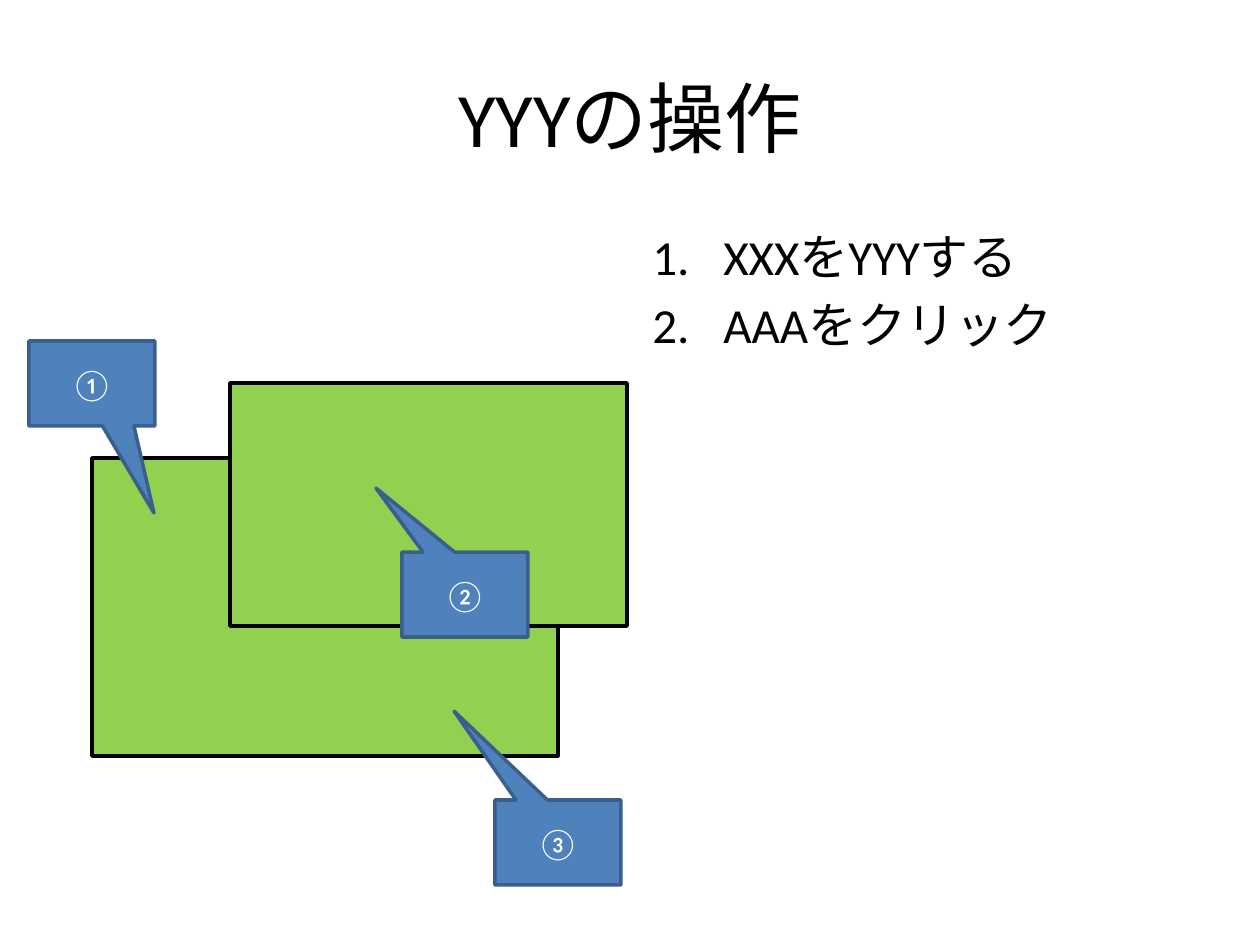
from lxml.etree import SubElement
from pptx import Presentation
from pptx.dml.color import RGBColor
from pptx.enum.shapes import MSO_SHAPE as SHAPE
from pptx.enum.text import MSO_ANCHOR as ANCHOR, PP_ALIGN as ALIGN
from pptx.oxml.ns import qn
from pptx.util import Emu, Pt

BLACK = RGBColor(0x00, 0x00, 0x00)
WHITE = RGBColor(0xFF, 0xFF, 0xFF)
GREEN = RGBColor(0x92, 0xD0, 0x50)
BLUE = RGBColor(0x4F, 0x81, 0xBD)
DARK_BLUE = RGBColor(0x3A, 0x5F, 0x8C)
FONT = "Calibri"
LIST_INDENT = 71


def px(n):
    """Turn pixels into EMU (126 pixels to the inch)."""
    return Emu(round(n * 914400 / 126))


def write(p, text, size=18, color=BLACK, align=ALIGN.LEFT):
    """Put one formatted run into a paragraph."""
    p.alignment = align
    r = p.add_run()
    r.text = text
    r.font.name = FONT
    r.font.size = Pt(size)
    r.font.color.rgb = color


def add_box(s, kind, box, fill, line):
    """Add a filled, outlined shape without shadow."""
    sp = s.shapes.add_shape(kind, *map(px, box))
    sp.shadow.inherit = False
    sp.fill.solid()
    sp.fill.fore_color.rgb = fill
    sp.line.color.rgb = line
    sp.line.width = Pt(2)
    return sp


def add_title(s, box, text):
    """Place and fill the title placeholder."""
    sp = s.shapes.title
    sp.left, sp.top, sp.width, sp.height = map(px, box)
    tf = sp.text_frame
    tf.vertical_anchor = ANCHOR.MIDDLE
    write(tf.paragraphs[0], text, size=44, align=ALIGN.CENTER)


def add_steps(s, box, steps):
    """Add the numbered list of steps."""
    tf = s.shapes.add_textbox(*map(px, box)).text_frame
    tf.word_wrap = True
    for i, step in enumerate(steps):
        p = tf.paragraphs[0] if i == 0 else tf.add_paragraph()
        write(p, step, size=28)
        p.space_before = Pt(5.6)
        pPr = p._p.get_or_add_pPr()
        pPr.set("marL", str(px(LIST_INDENT)))
        pPr.set("indent", str(-px(LIST_INDENT)))
        SubElement(pPr, qn("a:buFont"), typeface=FONT)
        SubElement(pPr, qn("a:buAutoNum"), type="arabicPeriod")


def add_callout(s, box, tip, label):
    """Add a callout whose pointer ends at tip, given from the box's corner."""
    sp = add_box(s, SHAPE.RECTANGULAR_CALLOUT, box, BLUE, DARK_BLUE)
    for i in range(2):
        sp.adjustments[i] = tip[i] / box[2 + i] - 0.5
    tf = sp.text_frame
    tf.vertical_anchor = ANCHOR.MIDDLE
    write(tf.paragraphs[0], label, color=WHITE, align=ALIGN.CENTER)


def add_windows(s, left, top):
    """Add the two overlapping windows and their numbered callouts."""
    for x, y, w, h in ((63, 117, 466, 298), (201, 42, 397, 243)):
        add_box(s, SHAPE.RECTANGLE, (left + x, top + y, w, h), GREEN, BLACK)
    callouts = (
        ("①", 0, 0, (125, 172)),
        ("②", 373, 211, (-26, -64)),
        ("③", 466, 459, (-41, -89)),
    )
    for label, x, y, tip in callouts:
        add_callout(s, (left + x, top + y, 126, 85), tip, label)


prs = Presentation()
prs.slide_width, prs.slide_height = px(1260), px(945)
s = prs.slides.add_slide(prs.slide_layouts[5])
add_title(s, (63, 38, 1134, 157), "YYYの操作")
add_steps(s, (640, 220, 557, 624), ("XXXをYYYする", "AAAをクリック"))
add_windows(s, 29, 341)
prs.save("out.pptx")
